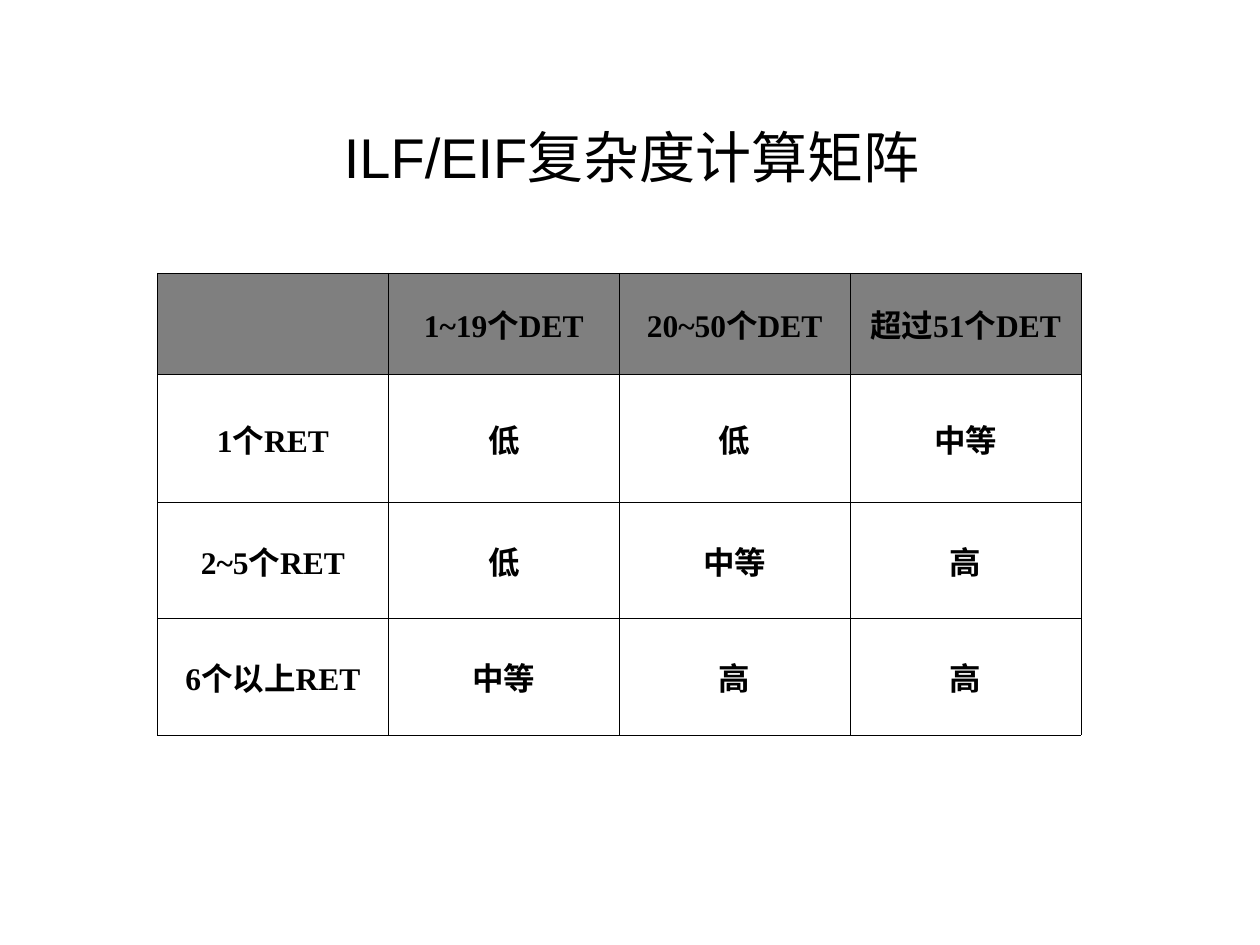
from lxml.etree import SubElement as Sub
from pptx import Presentation
from pptx.dml.color import RGBColor
from pptx.enum.text import MSO_ANCHOR as Anchor, MSO_AUTO_SIZE as Auto, PP_ALIGN as Align
from pptx.oxml.ns import qn
from pptx.util import Inches, Pt

BLACK = RGBColor(0x00, 0x00, 0x00)
GRAY = RGBColor(0x7F, 0x7F, 0x7F)
SANS, SERIF = "Arial", "Times New Roman"
WIDE, HIGH = Inches(10), Inches(7.5)

TITLE = [("ILF/EIF", SANS), ("复杂度计算矩阵", SERIF)]
MATRIX = [
    ["", "1~19个DET", "20~50个DET", "超过51个DET"],
    ["1个RET", "低", "低", "中等"],
    ["2~5个RET", "低", "中等", "高"],
    ["6个以上RET", "中等", "高", "高"],
]
ROWS = [0.22, 0.276, 0.251, 0.253]  # shares of the table height


def area(left, top, wide, high):
    """Turn shares of the slide into lengths."""
    return int(left * WIDE), int(top * HIGH), int(wide * WIDE), int(high * HIGH)


def write(par, text, font=SERIF, size=18, bold=False, align=Align.CENTER, hang=0):
    """Add a run to a paragraph, with a hanging indent if one is given."""
    par.alignment = align
    if hang:
        props = par._p.get_or_add_pPr()
        props.set("marL", str(Inches(hang)))
        props.set("indent", str(-Inches(hang)))
    run = par.add_run()
    run.text = text
    run.font.name, run.font.size, run.font.bold = font, Pt(size), bold
    run.font.color.rgb = BLACK


def border(cell, width=0.34):
    props = cell._tc.get_or_add_tcPr()
    for side in ("a:lnL", "a:lnR", "a:lnT", "a:lnB"):
        line = Sub(props, qn(side), w=str(Pt(width)))
        Sub(Sub(line, qn("a:solidFill")), qn("a:srgbClr"), val=str(BLACK))


def add_title(slide, box):
    title = slide.shapes.title
    title.left, title.top, title.width, title.height = box
    frame = title.text_frame
    frame.word_wrap = False
    frame.auto_size = Auto.SHAPE_TO_FIT_TEXT
    frame.vertical_anchor = Anchor.MIDDLE
    for text, font in TITLE:
        write(frame.paragraphs[0], text, font=font, size=32, align=Align.LEFT)


def add_matrix(slide, box):
    table = slide.shapes.add_table(len(MATRIX), len(MATRIX[0]), *box).table
    table.first_row = table.horz_banding = False
    for row, share in zip(table.rows, ROWS):
        row.height = int(box[3] * share)
    for r, texts in enumerate(MATRIX):
        for c, text in enumerate(texts):
            cell = table.cell(r, c)
            cell.vertical_anchor = Anchor.MIDDLE
            border(cell)
            if r == 0:
                cell.fill.solid()
                cell.fill.fore_color.rgb = GRAY
            else:
                cell.fill.background()
            if text:
                write(cell.text_frame.paragraphs[0], text, bold=True, hang=0.38)


def main():
    deck = Presentation()
    deck.slide_width, deck.slide_height = WIDE, HIGH
    slide = deck.slides.add_slide(deck.slide_layouts.get_by_name("Title Only"))
    add_title(slide, area(0.263, 0.123, 0.488, 0.085))
    add_matrix(slide, area(0.125, 0.289, 0.733, 0.489))
    deck.save("out.pptx")


if __name__ == "__main__":
    main()
